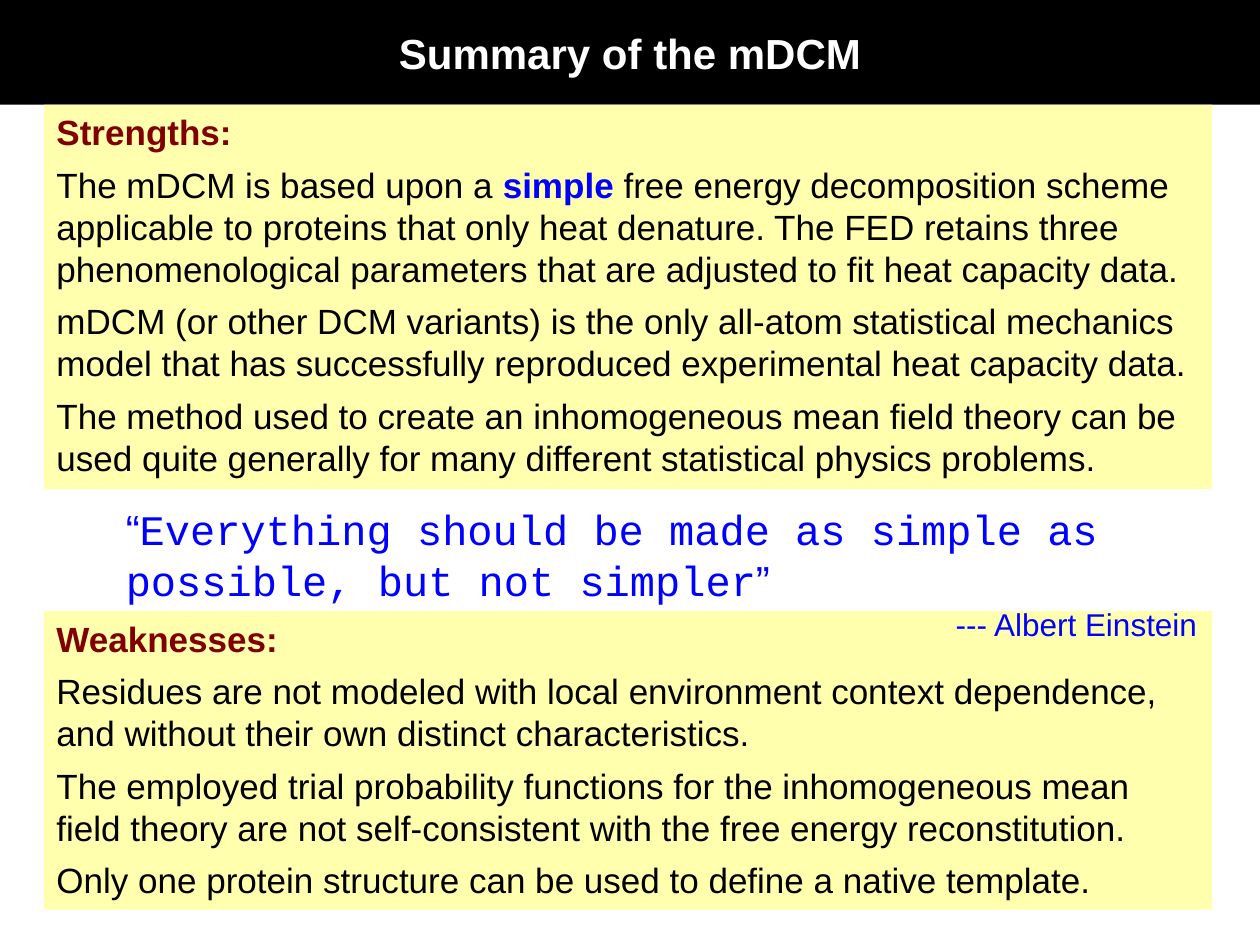
from dataclasses import dataclass

from lxml.etree import SubElement
from pptx import Presentation
from pptx.dml.color import RGBColor
from pptx.enum.shapes import MSO_SHAPE
from pptx.enum.text import MSO_ANCHOR, MSO_AUTO_SIZE, PP_ALIGN
from pptx.oxml.ns import qn
from pptx.util import Inches, Pt


@dataclass(frozen=True)
class Theme:
    black: str = "000000"
    white: str = "FFFFFF"
    blue: str = "0000FF"
    red: str = "800000"
    cream: str = "FFFF99"
    sans: str = "Arial"
    mono: str = "Courier New"
    large: int = 24
    body: int = 20
    small: int = 18
    gap: int = 6
    opaque: int = 79


class Deck:
    def __init__(self, theme, cols=10, rows=7.5):
        self.theme = theme
        self.file = Presentation()
        self.file.slide_width = Inches(cols)
        self.file.slide_height = Inches(rows)
        self.slide = self.file.slides.add_slide(self.file.slide_layouts[5])

    def run(self, para, text, size, color, font=None, bold=False):
        run = para.add_run()
        run.text = text
        run.font.name = font or self.theme.sans
        run.font.size = Pt(size)
        run.font.bold = bold
        run.font.color.rgb = RGBColor.from_string(color)

    def fill(self, shape, color):
        shape.fill.solid()
        shape.fill.fore_color.rgb = RGBColor.from_string(color)

    def title(self, text, *area):
        t = self.theme
        shape = self.slide.shapes.title
        shape.left, shape.top, shape.width, shape.height = map(Inches, area)
        self.fill(shape, t.black)
        frame = shape.text_frame
        frame.auto_size = MSO_AUTO_SIZE.NONE
        frame.vertical_anchor = MSO_ANCHOR.MIDDLE
        para = frame.paragraphs[0]
        para.alignment = PP_ALIGN.CENTER
        self.run(para, text, t.large, t.white, bold=True)

    def panel(self, head, items, *area):
        t = self.theme
        shape = self.slide.shapes.add_shape(MSO_SHAPE.RECTANGLE, *map(Inches, area))
        shape.shadow.inherit = False
        shape.line.fill.background()
        self.fill(shape, t.cream)
        tint = next(shape.element.spPr.iter(qn("a:srgbClr")))
        SubElement(tint, qn("a:alpha"), val=str(t.opaque * 1000))
        frame = shape.text_frame
        frame.word_wrap = True
        frame.vertical_anchor = MSO_ANCHOR.TOP
        frame.auto_size = MSO_AUTO_SIZE.SHAPE_TO_FIT_TEXT
        first = frame.paragraphs[0]
        first.alignment = PP_ALIGN.LEFT
        self.run(first, head, t.body, t.red, bold=True)
        for item in items:
            para = frame.add_paragraph()
            para.alignment = PP_ALIGN.LEFT
            para.space_before = Pt(t.gap)
            for text, key in item:
                color = t.blue if key else t.black
                self.run(para, text, t.body, color, bold=key)

    def quote(self, text, source, *area):
        t = self.theme
        frame = self.slide.shapes.add_textbox(*map(Inches, area)).text_frame
        frame.word_wrap = True
        frame.auto_size = MSO_AUTO_SIZE.SHAPE_TO_FIT_TEXT
        first = frame.paragraphs[0]
        for part, font in (("“", t.sans), (text, t.mono), ("”", t.sans)):
            self.run(first, part, t.large, t.blue, font)
        last = frame.add_paragraph()
        last.alignment = PP_ALIGN.RIGHT
        self.run(last, source, t.small, t.blue)

    def save(self):
        self.file.save("out.pptx")


def main():
    strong = [
        [
            ("The mDCM is based upon a ", False),
            ("simple", True),
            (" free energy decomposition scheme applicable to proteins that only "
             "heat denature. The FED retains three phenomenological parameters "
             "that are adjusted to fit heat capacity data.", False),
        ],
        [("mDCM (or other DCM variants) is the only all-atom statistical mechanics "
          "model that has successfully reproduced experimental heat capacity data.",
          False)],
        [("The method used to create an inhomogeneous mean field theory can be used "
          "quite generally for many different statistical physics problems.", False)],
    ]
    weak = [
        [("Residues are not modeled with local environment context dependence, "
          "and without their own distinct characteristics.", False)],
        [("The employed trial probability functions for the inhomogeneous mean "
          "field theory are not self-consistent with the free energy "
          "reconstitution.", False)],
        [("Only one protein structure can be used to define a native template.",
          False)],
    ]
    left, wide, top = 0.35, 9.27, 0.83
    deck = Deck(Theme())
    deck.title("Summary of the mDCM", 0, 0, 10, top)
    deck.panel("Strengths:", strong, left, top, wide, 3.05)
    deck.panel("Weaknesses:", weak, left, 4.85, wide, 2.37)
    deck.quote("Everything should be made as simple as possible, but not simpler",
               "--- Albert Einstein", 0.9, 3.95, 8.7, 1.17)
    deck.save()


if __name__ == "__main__":
    main()
